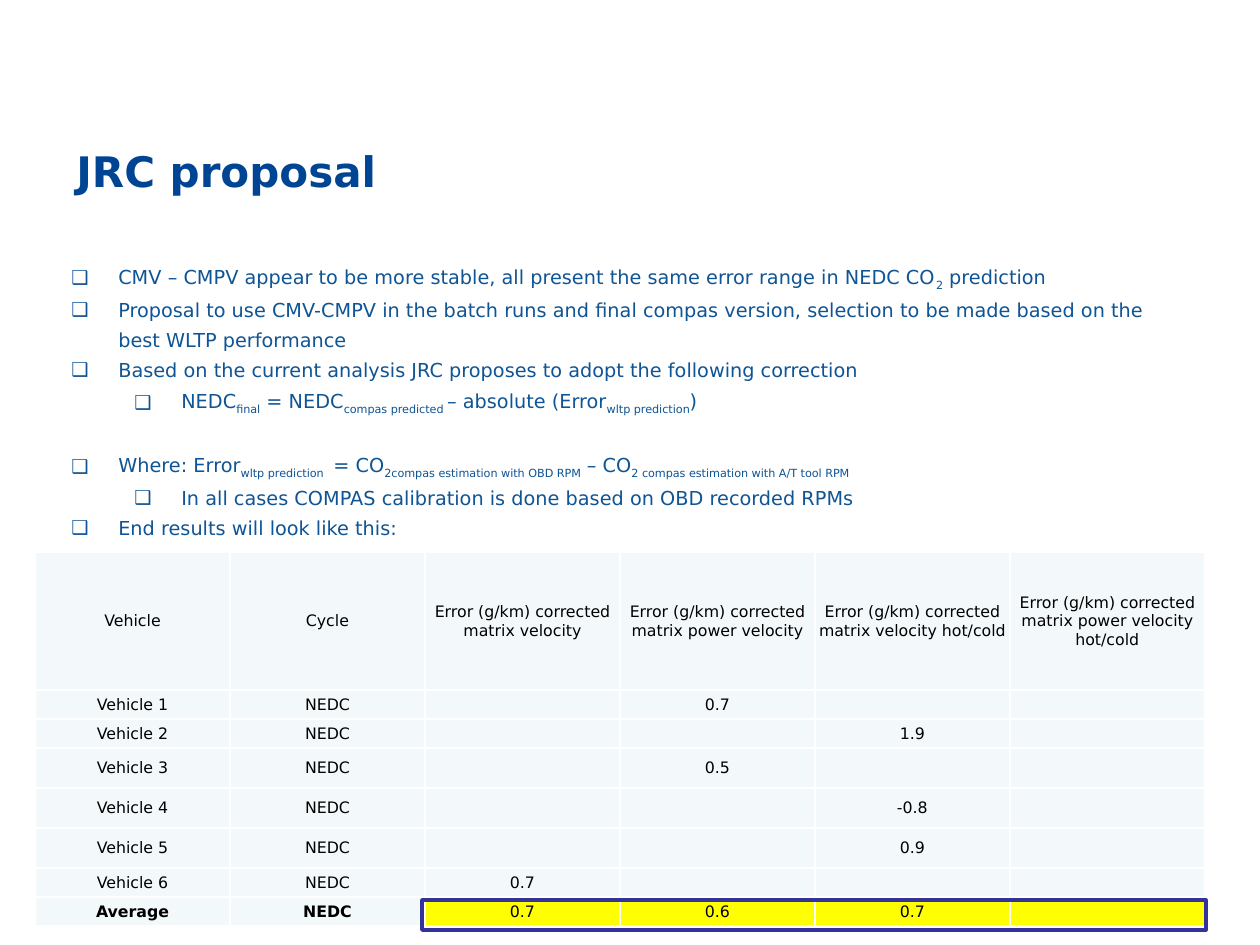
from pptx import Presentation
from pptx.dml.color import RGBColor
from pptx.enum.shapes import MSO_SHAPE
from pptx.enum.text import MSO_ANCHOR, MSO_AUTO_SIZE, PP_ALIGN
from pptx.oxml.xmlchemy import OxmlElement
from pptx.util import Pt

PX = 914400 / 126
FONT = "DejaVu Sans"
RECTANGLE = MSO_SHAPE.RECTANGLE
MIDDLE = MSO_ANCHOR.MIDDLE
GROW = MSO_AUTO_SIZE.SHAPE_TO_FIT_TEXT
LEFT, CENTER = PP_ALIGN.LEFT, PP_ALIGN.CENTER

HANGING = 47
LEVEL_STEP = 63
SUBSCRIPT = -25000
BULLETS = [
    (0, 0, ["CMV – CMPV appear to be more stable, all present the same error range in NEDC CO",
            "2", " prediction"]),
    (0, 0, ["Proposal to use CMV-CMPV in the batch runs and final compas version, "
            "selection to be made based on the best WLTP performance"]),
    (0, 0, ["Based on the current analysis JRC proposes to adopt the following correction"]),
    (1, 0, ["NEDC", "final", " = NEDC", "compas predicted ", "– absolute (Error",
            "wltp prediction", ")"]),
    (0, 17, ["Where: Error", "wltp prediction ", " = CO", "2compas estimation with OBD RPM",
             " – CO", "2 compas estimation with A/T tool RPM"]),
    (1, 0, ["In all cases COMPAS calibration is done based on OBD recorded RPMs"]),
    (0, 0, ["End results will look like this:"]),
]

ROW_HEIGHTS = [138, 29, 29, 40, 40, 40, 29, 29]
ERROR = "Error (g/km) corrected matrix "
RESULTS = [
    ["Vehicle", "Cycle", ERROR + "velocity", ERROR + "power velocity",
     ERROR + "velocity hot/cold", ERROR + "power velocity hot/cold"],
    ["Vehicle 1", "NEDC", "", "0.7", "", ""],
    ["Vehicle 2", "NEDC", "", "", "1.9", ""],
    ["Vehicle 3", "NEDC", "", "0.5", "", ""],
    ["Vehicle 4", "NEDC", "", "", "-0.8", ""],
    ["Vehicle 5", "NEDC", "", "", "0.9", ""],
    ["Vehicle 6", "NEDC", "0.7", "", "", ""],
    ["Average", "NEDC", "0.7", "0.6", "0.7", ""],
]


def px(length):
    return round(length * PX)


def color(code):
    return RGBColor.from_string(code)


def write(para, text, size=11, fill="0F5494", bold=False, align=LEFT, baseline=0):
    para.alignment = align
    span = para.add_run()
    span.text = text
    span.font.name = FONT
    span.font.size = Pt(size)
    span.font.bold = bold
    span.font.color.rgb = color(fill)
    if baseline:
        span._r.get_or_add_rPr().set("baseline", str(baseline))


def add_frame(page, area):
    box = page.shapes.add_textbox(*map(px, area))
    box.text_frame.word_wrap = True
    return box.text_frame


def add_title(page, area):
    frame = add_frame(page, area)
    write(frame.paragraphs[0], "JRC proposal", size=24, fill="004494", bold=True)


def set_bullet(para, level):
    para.level = level
    properties = para._p.get_or_add_pPr()
    properties.set("marL", str(px(HANGING + level * LEVEL_STEP)))
    properties.set("indent", str(px(-HANGING)))
    for tag, key, value in (("a:buFont", "typeface", FONT), ("a:buChar", "char", "❑")):
        part = OxmlElement(tag)
        part.set(key, value)
        properties.append(part)


def add_bullets(page, area):
    frame = add_frame(page, area)
    frame.auto_size = GROW
    for index, (level, gap, parts) in enumerate(BULLETS):
        para = frame.add_paragraph() if index else frame.paragraphs[0]
        para.line_spacing = 1.3
        para.space_before = Pt(gap)
        set_bullet(para, level)
        for position, part in enumerate(parts):
            write(para, part, baseline=SUBSCRIPT if position % 2 else 0)


def set_borders(cell, code, width):
    properties = cell._tc.get_or_add_tcPr()
    for side in ("a:lnL", "a:lnR", "a:lnT", "a:lnB"):
        line = OxmlElement(side)
        line.set("w", str(Pt(width)))
        paint = OxmlElement("a:solidFill")
        shade = OxmlElement("a:srgbClr")
        shade.set("val", code)
        paint.append(shade)
        line.append(paint)
        properties.append(line)


def fill_cell(cell, text, fill, bold):
    set_borders(cell, "FFFFFF", 1)
    cell.fill.solid()
    cell.fill.fore_color.rgb = color(fill)
    cell.vertical_anchor = MIDDLE
    cell.margin_left = cell.margin_right = cell.margin_top = px(1)
    cell.margin_bottom = 0
    para = cell.text_frame.paragraphs[0]
    if text:
        write(para, text, size=9, fill="000000", bold=bold, align=CENTER)
    else:
        ending = OxmlElement("a:endParaRPr")
        ending.set("sz", "900")
        para._p.append(ending)


def add_results(page, area):
    left, top, width, height = area
    rows, columns = len(RESULTS), len(RESULTS[0])
    frame = page.shapes.add_table(rows, columns, *map(px, area))
    table = frame.table
    table.first_row = False
    table.horz_banding = False
    for column in table.columns:
        column.width = px(width / columns)
    for r, values in enumerate(RESULTS):
        table.rows[r].height = px(ROW_HEIGHTS[r])
        average = r == rows - 1
        for c, value in enumerate(values):
            fill = "FFFF00" if average and c > 1 else "F3F9FA"
            fill_cell(table.cell(r, c), value, fill, average and c < 2)

    label_width = 2 * width // columns
    outline = page.shapes.add_shape(
        RECTANGLE, px(left + label_width - 3), px(top + height - 26),
        px(width - label_width + 4), px(30))
    outline.shadow.inherit = False
    outline.fill.background()
    outline.line.color.rgb = color("333399")
    outline.line.width = Pt(2)


def main():
    deck = Presentation()
    deck.slide_width, deck.slide_height = px(1260), px(945)
    page = deck.slides.add_slide(deck.slide_layouts[6])
    add_bullets(page, (59, 251, 1131, 286))
    add_title(page, (64, 139, 1134, 129))
    add_results(page, (35, 552, 1170, sum(ROW_HEIGHTS)))
    deck.save("out.pptx")


if __name__ == "__main__":
    main()
